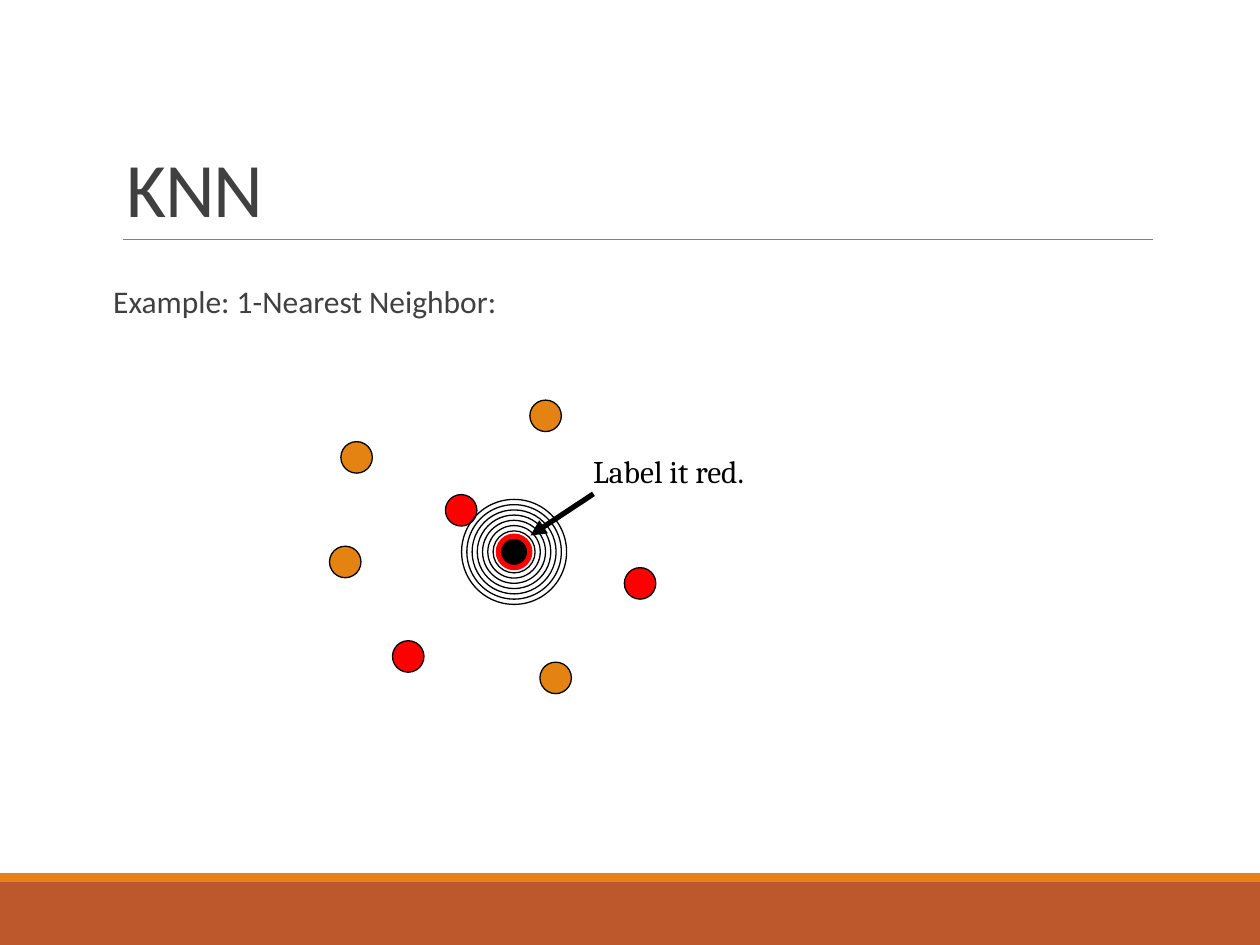
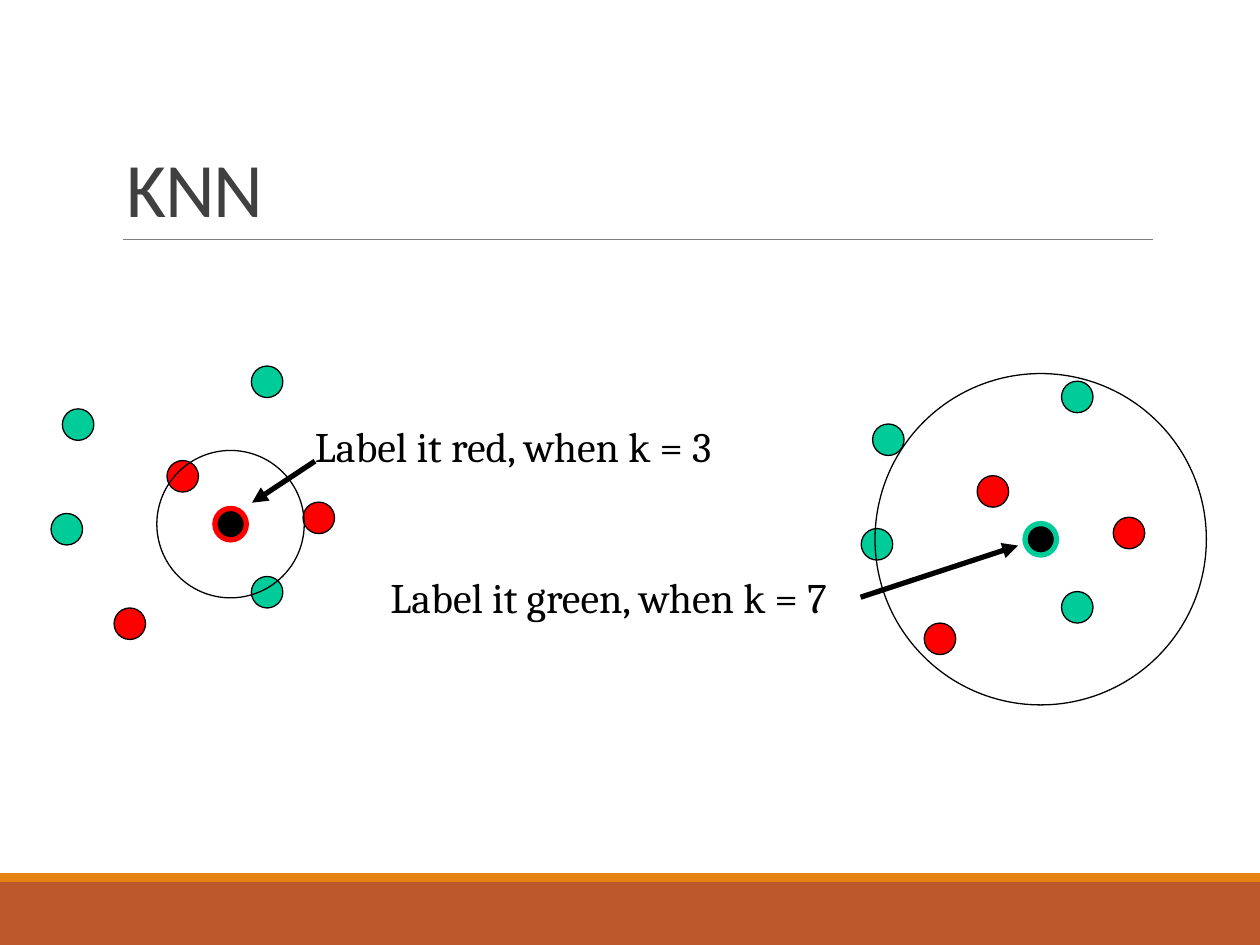
from pptx import Presentation
from pptx.dml.color import RGBColor
from pptx.enum.shapes import MSO_CONNECTOR, MSO_SHAPE
from pptx.enum.text import MSO_ANCHOR, MSO_AUTO_SIZE, PP_ALIGN
from pptx.oxml.ns import qn
from pptx.util import Inches, Pt
from lxml import etree

RECTANGLE, OVAL = MSO_SHAPE.RECTANGLE, MSO_SHAPE.OVAL
STRAIGHT = MSO_CONNECTOR.STRAIGHT
BOTTOM, TOP = MSO_ANCHOR.BOTTOM, MSO_ANCHOR.TOP
LEFT = PP_ALIGN.LEFT
FIXED = MSO_AUTO_SIZE.NONE

WIDTH, HEIGHT = 10, 7.5
BODY_FONT, LABEL_FONT = "Calibri", "Cambria"
BAND, ORANGE, RULE = "BD582C", "E48312", "808080"
INK, BLACK, RED, GREEN = "404040", "000000", "FF0000", "00CC99"
DOT = 0.25
RING_STEP = 1 / 12

ONE_NEAREST = [
    (-1.25, -0.75, ORANGE), (-0.84, 0.83, RED), (0.25, -1.08, ORANGE),
    (-1.34, 0.08, ORANGE), (1, 0.25, RED), (-0.42, -0.33, RED),
    (0.33, 1, ORANGE),
]
K_NEAREST = [
    (-1.21, -0.79, GREEN), (-0.8, 0.79, RED), (0.29, -1.13, GREEN),
    (-1.3, 0.04, GREEN), (0.7, -0.05, RED), (-0.38, -0.38, RED),
    (0.29, 0.54, GREEN),
]


def colour(value):
    return RGBColor.from_string(value)


def add_solid(slide, kind, box, fill=None, outline=None, weight=0.75):
    solid = slide.shapes.add_shape(kind, *map(Inches, box))
    solid.shadow.inherit = False
    if fill:
        solid.fill.solid()
        solid.fill.fore_color.rgb = colour(fill)
    else:
        solid.fill.background()
    if outline:
        solid.line.color.rgb = colour(outline)
        solid.line.width = Pt(weight)
    else:
        solid.line.fill.background()


def add_circle(slide, centre, diameter, fill=None, outline=BLACK, weight=0.75):
    x, y = centre
    box = (x - diameter / 2, y - diameter / 2, diameter, diameter)
    add_solid(slide, OVAL, box, fill, outline, weight)


def add_line(slide, start, end, line_colour, weight, arrow=False):
    line = slide.shapes.add_connector(STRAIGHT, *map(Inches, (*start, *end)))
    line.line.color.rgb = colour(line_colour)
    line.line.width = Pt(weight)
    if arrow:
        etree.SubElement(line.line._get_or_add_ln(), qn("a:headEnd"), type="triangle")
    etree.SubElement(line._element.spPr, qn("a:effectLst"))


def write(frame, wording, font, size, text_colour, spacing=1.0, anchor=TOP):
    frame.word_wrap = True
    frame.auto_size = FIXED
    frame.vertical_anchor = anchor
    paragraph = frame.paragraphs[0]
    paragraph.alignment = LEFT
    paragraph.line_spacing = spacing
    run = paragraph.add_run()
    run.text = wording
    run.font.name = font
    run.font.size = Pt(size)
    run.font.color.rgb = colour(text_colour)
    return run


def add_text(slide, box, wording, font, size, text_colour, spacing=1.0):
    holder = slide.shapes.add_textbox(*map(Inches, box))
    write(holder.text_frame, wording, font, size, text_colour, spacing)


def add_titled_slide(deck, heading):
    slide = deck.slides.add_slide(deck.slide_layouts[5])
    add_solid(slide, RECTANGLE, (0, HEIGHT - 0.5, WIDTH, 0.5), BAND)
    add_solid(slide, RECTANGLE, (0, HEIGHT - 0.57, WIDTH, 0.07), ORANGE)
    add_line(slide, (0.98, 1.9), (9.15, 1.9), RULE, 0.5)
    title = slide.shapes.title
    title.left, title.top, title.width, title.height = map(Inches, (0.9, 0.31, 8.25, 1.59))
    run = write(title.text_frame, heading, BODY_FONT, 44, INK, 0.85, BOTTOM)
    run._r.get_or_add_rPr().set("spc", "-50")
    return slide


def add_scatter(slide, centre, neighbours, rings, verdict, arrow, label):
    def place(dx, dy):
        return centre[0] + dx, centre[1] + dy

    for dx, dy, fill in neighbours:
        add_circle(slide, place(dx, dy), DOT, fill)
    wording, size, label_offset, label_width = label
    label_box = (*place(*label_offset), label_width, 0.5)
    add_text(slide, label_box, wording, LABEL_FONT, size, BLACK)
    for diameter in rings:
        add_circle(slide, centre, diameter)
    add_circle(slide, centre, DOT, BLACK, verdict, 3)
    tip, origin = arrow
    add_line(slide, place(*tip), place(*origin), BLACK, 3, arrow=True)


def build_one_nearest(deck):
    slide = add_titled_slide(deck, "KNN")
    add_text(slide, (0.8, 2.22, 8.35, 0.5), "Example: 1-Nearest Neighbor:",
             BODY_FONT, 18, INK, 0.9)
    rings = [RING_STEP * count for count in range(10, 3, -1)]
    add_scatter(slide, (4.08, 4.38), ONE_NEAREST, rings, RED,
                ((0.13, -0.13), (0.63, -0.46)),
                ("Label it red.", 18, (0.53, -0.84), 1.94))


def build_k_nearest(deck):
    slide = add_titled_slide(deck, "KNN")
    add_scatter(slide, (1.83, 4.16), K_NEAREST, [1.17], RED,
                ((0.17, -0.17), (0.67, -0.5)),
                ("Label it red, when k = 3", 24, (0.57, -0.87), 3.66))
    add_scatter(slide, (8.26, 4.28), K_NEAREST, [2.63], GREEN,
                ((-0.18, 0.05), (-1.43, 0.46)),
                ("Label it green, when k = 7", 24, (-5.26, 0.21), 4.02))


def main():
    deck = Presentation()
    deck.slide_width, deck.slide_height = Inches(WIDTH), Inches(HEIGHT)
    build_one_nearest(deck)
    build_k_nearest(deck)
    deck.save("out.pptx")


if __name__ == "__main__":
    main()
